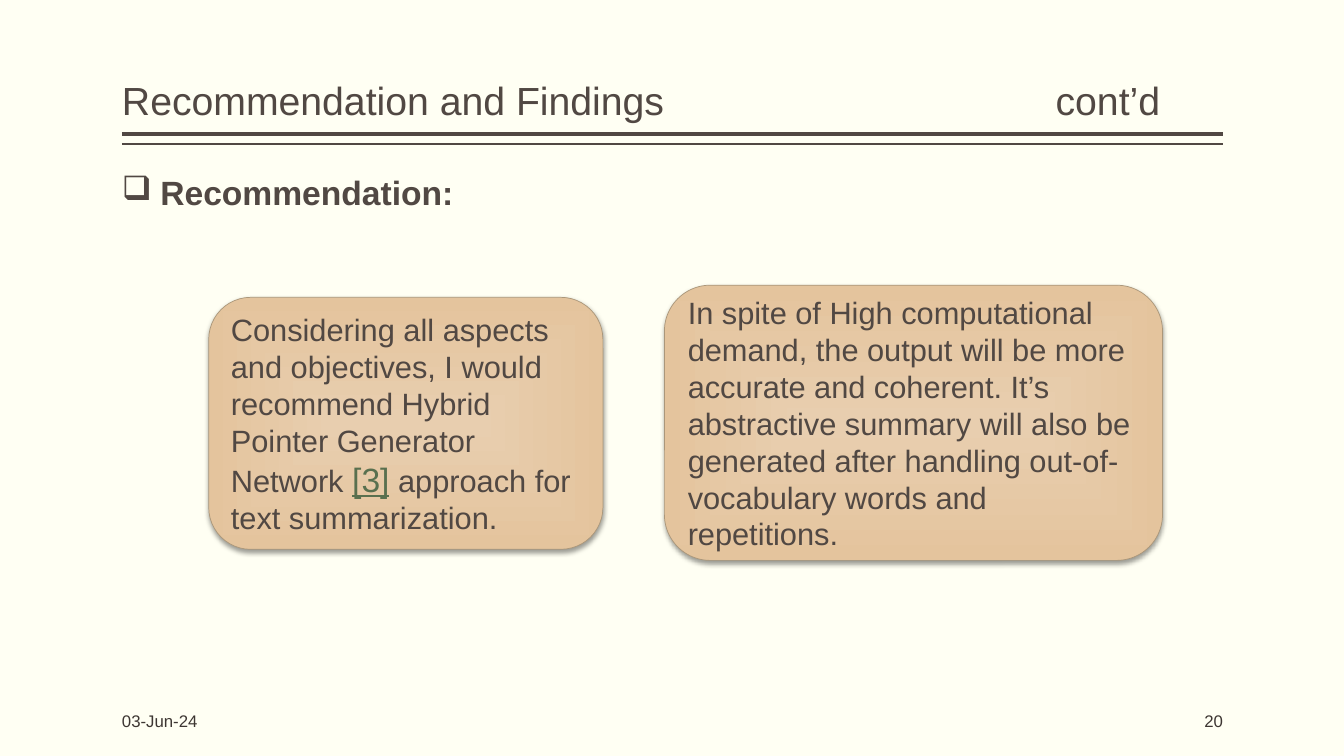
from dataclasses import dataclass

import pptx
import pptx.dml.color
import pptx.enum.shapes
import pptx.enum.text
import pptx.oxml
import pptx.oxml.ns
import pptx.util
from lxml import etree

Inches = pptx.util.Inches
Pt = pptx.util.Pt
qn = pptx.oxml.ns.qn
Anchor = pptx.enum.text.MSO_ANCHOR
Align = pptx.enum.text.PP_ALIGN


@dataclass(frozen=True)
class Theme:
    font: str = "Arial"
    paper: str = "FFFFF3"
    ink: str = "514843"
    footer_ink: str = "3D3632"
    reference: str = "59704F"
    card_centre: str = "E8CEAF"
    card_edge: str = "E4C49D"
    card_line: str = "AB977A"
    title_size: int = 28
    heading_size: int = 24
    body_size: int = 22
    footer_size: int = 12


THEME = Theme()


def rgb(value):
    return pptx.dml.color.RGBColor.from_string(value)


def set_font(font, size, colour=THEME.ink, bold=False):
    font.name = THEME.font
    font.size = Pt(size)
    font.bold = bold
    font.color.rgb = rgb(colour)


def add_text(page, box, text, anchor):
    """Add a text box without side margins and return its paragraph."""
    frame = page.shapes.add_textbox(*map(Inches, box)).text_frame
    frame.word_wrap = True
    frame.margin_left = frame.margin_right = 0
    frame.vertical_anchor = anchor
    para = frame.paragraphs[0]
    para.text = text
    return para


def add_rule(page, left, top, width, weight):
    rule = page.shapes.add_connector(
        pptx.enum.shapes.MSO_CONNECTOR.STRAIGHT,
        Inches(left), Inches(top), Inches(left + width), Inches(top))
    rule.line.color.rgb = rgb(THEME.ink)
    rule.line.width = Pt(weight)
    etree.SubElement(rule._element.spPr, qn("a:effectLst"))


def add_title(page, box, title, suffix):
    left, top, width, height = box
    para = add_text(page, box, f"{title}\t{suffix}", Anchor.BOTTOM)
    para.line_spacing = 0.9
    tabs = etree.SubElement(para._p.get_or_add_pPr(), qn("a:tabLst"))
    etree.SubElement(tabs, qn("a:tab"), pos=str(Inches(9.26)), algn="l")
    set_font(para.font, THEME.title_size)
    for gap, weight in ((0.05, 3), (0.15, 1)):
        add_rule(page, left, top + height + gap, width, weight)


def add_heading(page, box, text):
    para = add_text(page, box, text, Anchor.BOTTOM)
    para.line_spacing = 0.9
    properties = para._p.get_or_add_pPr()
    properties.set("marL", str(Inches(0.38)))
    properties.set("indent", str(-Inches(0.38)))
    etree.SubElement(properties, qn("a:buChar"), char="❑")
    set_font(para.font, THEME.heading_size, bold=True)


def fill_from_centre(shape):
    shape.fill.gradient()
    for stop, colour in zip(shape.fill.gradient_stops,
                            (THEME.card_centre, THEME.card_edge)):
        stop.color.rgb = rgb(colour)
    gradient = shape._element.spPr.find(qn("a:gradFill"))
    gradient.remove(gradient.find(qn("a:lin")))
    route = etree.SubElement(gradient, qn("a:path"), path="rect")
    etree.SubElement(route, qn("a:fillToRect"),
                     dict.fromkeys("ltrb", "50000"))


def add_soft_shadow(shape):
    shape.shadow.inherit = False
    effects = shape._element.spPr.find(qn("a:effectLst"))
    shadow = etree.SubElement(
        effects, qn("a:outerShdw"), blurRad=str(Pt(3.5)), dist=str(Pt(2)),
        dir="5400000", algn="ctr", rotWithShape="0")
    colour = etree.SubElement(shadow, qn("a:srgbClr"), val="000000")
    etree.SubElement(colour, qn("a:alpha"), val="38000")


def add_card(page, box, pieces):
    """Add a rounded card; pieces are (text, is_reference) pairs."""
    card = page.shapes.add_shape(
        pptx.enum.shapes.MSO_SHAPE.ROUNDED_RECTANGLE, *map(Inches, box))
    fill_from_centre(card)
    card.line.color.rgb = rgb(THEME.card_line)
    card.line.width = Pt(0.5)
    add_soft_shadow(card)
    frame = card.text_frame
    frame.word_wrap = True
    frame.vertical_anchor = Anchor.MIDDLE
    para = frame.paragraphs[0]
    para.alignment = Align.LEFT
    for text, is_reference in pieces:
        span = para.add_run()
        span.text = text
        if is_reference:
            set_font(span.font, THEME.heading_size, THEME.reference)
            span.font.underline = True
        else:
            set_font(span.font, THEME.body_size)


def add_footer(page, box, date, number):
    left, top, width, height = box
    part = 2
    for text, start, alignment in (
            (date, left, Align.LEFT),
            (number, left + width - part, Align.RIGHT)):
        para = add_text(page, (start, top, part, height), text, Anchor.MIDDLE)
        para.alignment = alignment
        set_font(para.font, THEME.footer_size, THEME.footer_ink)


def main():
    deck = pptx.Presentation()
    deck.slide_width = Inches(13.33)
    deck.slide_height = Inches(7.5)
    page = deck.slides.add_slide(deck.slide_layouts[6])
    page.background.fill.solid()
    page.background.fill.fore_color.rgb = rgb(THEME.paper)

    left, width = 1.21, 10.92
    add_title(page, (left, 0.08, width, 1.2),
              "Recommendation and Findings", "cont’d")
    add_heading(page, (left, 1.7, 5.38, 0.46), "Recommendation:")
    add_card(page, (2.07, 2.95, 3.91, 2.5), [
        ("Considering all aspects and objectives, I would recommend "
         "Hybrid Pointer Generator Network ", False),
        ("[3]", True),
        (" approach for text summarization.", False)])
    add_card(page, (6.59, 2.83, 4.94, 2.73), [
        ("In spite of High computational demand, the output will be more "
         "accurate and coherent. It’s abstractive summary will also be "
         "generated after handling out-of-vocabulary words and "
         "repetitions.", False)])
    add_footer(page, (left, 6.95, width, 0.4), "03-Jun-24", "20")
    deck.save("out.pptx")


if __name__ == "__main__":
    main()
